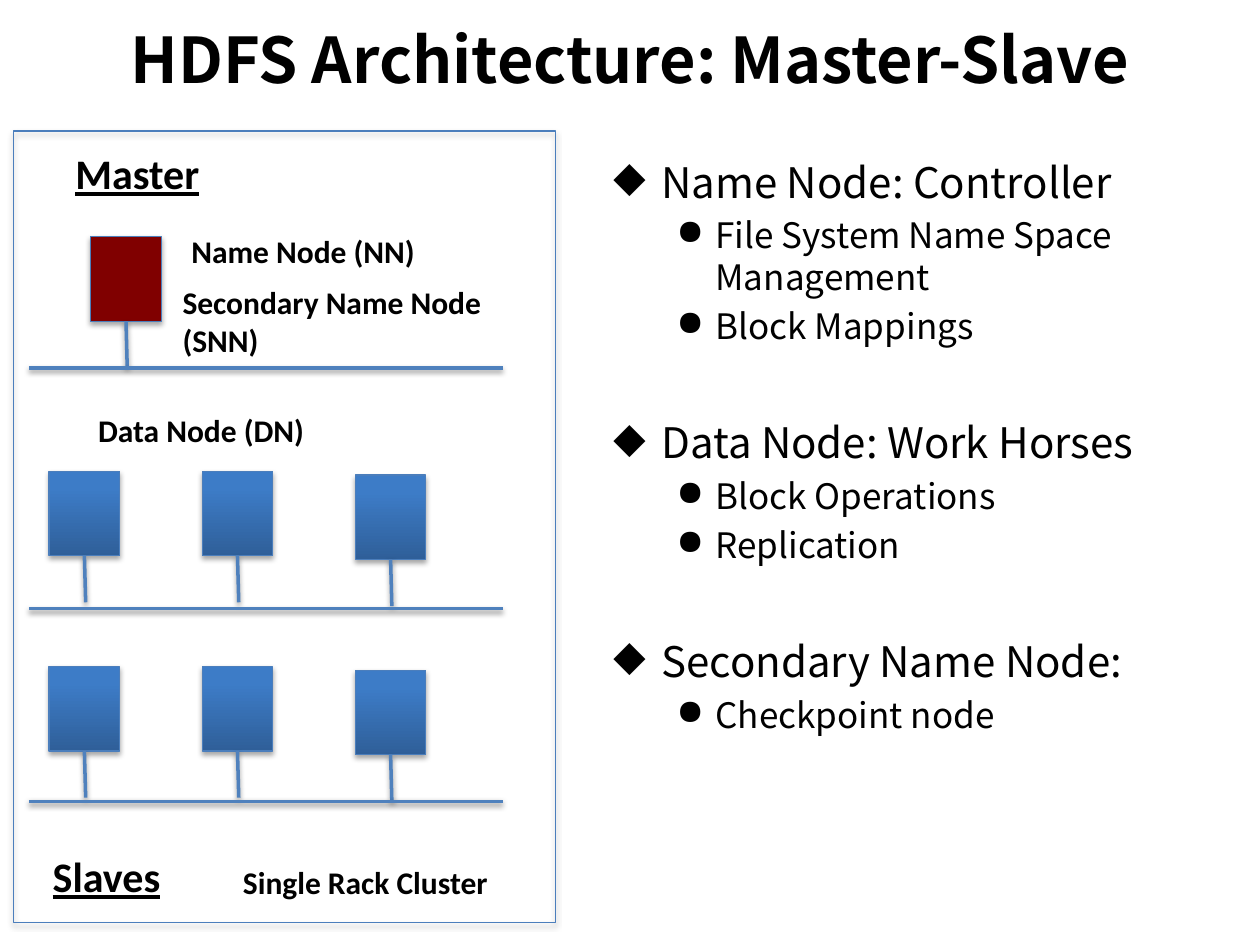
from lxml import etree
from pptx import Presentation
from pptx.dml.color import RGBColor
from pptx.enum import shapes as sh, text as tx
from pptx.oxml.ns import qn
from pptx.util import Inches, Pt

SANS = "Noto Sans CJK SC"
EDGE, WIRE = "4B7EBC", "4F81BD"
DARK, LIGHT, RED = "2F5F99", "3D7CC7", "800000"
NODE_W, NODE_H, STEM = 0.56, 0.67, 0.37

TOPICS = [
    ("Name Node: Controller",
     ["File System Name Space Management", "Block Mappings"]),
    ("Data Node: Work Horses", ["Block Operations", "Replication"]),
    ("Secondary Name Node:", ["Checkpoint node"]),
]


def rgb(code):
    return RGBColor.from_string(code)


def style(font, name, size, bold=False, under=False):
    font.name, font.size = name, Pt(size)
    font.bold, font.underline = bold, under
    font.color.rgb = rgb("000000")


def shade(shape, alpha, dist):
    """Add a soft shadow straight below; alpha in percent, dist in points."""
    fx = etree.SubElement(shape._element.spPr, qn("a:effectLst"))
    drop = etree.SubElement(fx, qn("a:outerShdw"), blurRad=str(Pt(3.1)),
                            dist=str(Pt(dist)), dir="5400000", rotWithShape="0")
    ink = etree.SubElement(drop, qn("a:srgbClr"), val="000000")
    etree.SubElement(ink, qn("a:alpha"), val=str(alpha * 1000))


def add_box(slide, x, y, w, h):
    box = slide.shapes.add_shape(sh.MSO_SHAPE.RECTANGLE, Inches(x), Inches(y),
                                 Inches(w), Inches(h))
    box.fill.background()
    box.line.color.rgb = rgb(EDGE)
    box.line.width = Pt(0.75)
    shade(box, 35, 1.8)
    return box


def add_wire(slide, x1, y1, x2, y2):
    wire = slide.shapes.add_connector(sh.MSO_CONNECTOR.STRAIGHT, Inches(x1),
                                      Inches(y1), Inches(x2), Inches(y2))
    wire.line.color.rgb = rgb(WIRE)
    wire.line.width = Pt(2)
    shade(wire, 38, 1.6)


def add_node(slide, x, y, color=None):
    """Add a machine with its stem, blue gradient unless a color is given."""
    fill = add_box(slide, x, y, NODE_W, NODE_H).fill
    if color:
        fill.solid()
        fill.fore_color.rgb = rgb(color)
    else:
        fill.gradient()
        fill.gradient_angle = 90
        for stop, code, pos in zip(fill.gradient_stops, (DARK, LIGHT), (0, 0.8)):
            stop.color.rgb = rgb(code)
            stop.position = pos
    mid, foot = x + NODE_W / 2, y + NODE_H
    add_wire(slide, mid, foot, mid + 0.01, foot + STEM)


def add_label(slide, words, x, y, w, h, head=False):
    box = slide.shapes.add_textbox(Inches(x), Inches(y), Inches(w), Inches(h))
    frame = box.text_frame
    frame.word_wrap = not head
    frame.auto_size = tx.MSO_AUTO_SIZE.SHAPE_TO_FIT_TEXT
    frame.text = words
    style(frame.paragraphs[0].font, "Calibri", 24 if head else 18, True, head)


def add_item(para, words, mark, left, hang, size, pitch, before):
    para.text = words
    para.line_spacing = Pt(pitch)
    para.space_before = Pt(before)
    props = para._p.get_or_add_pPr()
    props.set("marL", str(Inches(left)))
    props.set("indent", str(-Inches(hang)))
    etree.SubElement(props, qn("a:buChar"), char=mark)
    style(para.font, SANS, size)


def add_topics(slide):
    box = slide.shapes.add_textbox(Inches(4.77), Inches(1.09),
                                   Inches(5.09), Inches(5.87))
    frame = box.text_frame
    frame.word_wrap = True
    for i, (topic, points) in enumerate(TOPICS):
        para = frame.add_paragraph() if i else frame.paragraphs[0]
        add_item(para, topic, "◆", 0.38, 0.38, 24, 36, 33 if i else 0)
        for point in points:
            para = frame.add_paragraph()
            para.level = 1
            add_item(para, point, "●", 0.81, 0.31, 20, 24, 4)


def add_title(slide, words):
    title = slide.shapes.title
    title.left, title.top = Inches(0.5), Inches(-0.16)
    title.width, title.height = Inches(9), Inches(1.25)
    frame = title.text_frame
    frame.text = words
    frame.vertical_anchor = tx.MSO_ANCHOR.MIDDLE
    para = frame.paragraphs[0]
    para.alignment = tx.PP_ALIGN.CENTER
    style(para.font, SANS, 36, True)


def add_rack(slide):
    add_box(slide, 0.11, 1.04, 4.3, 6.28)
    add_node(slide, 0.72, 1.88, RED)
    for top in (3.74, 5.29):
        for col in range(3):
            drop = 0.03 if col == 2 else 0
            add_node(slide, 0.39 + 1.215 * col, top + drop)
    for y in (2.92, 4.83, 6.36):
        add_wire(slide, 0.23, y, 3.99, y)
    add_label(slide, "Master", 0.5, 1.12, 1.2, 0.5, head=True)
    add_label(slide, "Slaves", 0.32, 6.7, 1.07, 0.5, head=True)
    add_label(slide, "Name Node (NN)", 1.42, 1.79, 2.53, 0.4)
    add_label(slide, "Data Node (DN)", 0.68, 3.21, 2.53, 0.4)
    add_label(slide, "Secondary Name Node (SNN)", 1.35, 2.2, 3.21, 0.71)
    add_label(slide, "Single Rack Cluster", 1.83, 6.8, 2.53, 0.4)


def main():
    deck = Presentation()
    deck.slide_width, deck.slide_height = Inches(10), Inches(7.5)
    slide = deck.slides.add_slide(deck.slide_layouts[5])
    add_title(slide, "HDFS Architecture: Master-Slave")
    add_topics(slide)
    add_rack(slide)
    deck.save("out.pptx")


if __name__ == "__main__":
    main()
